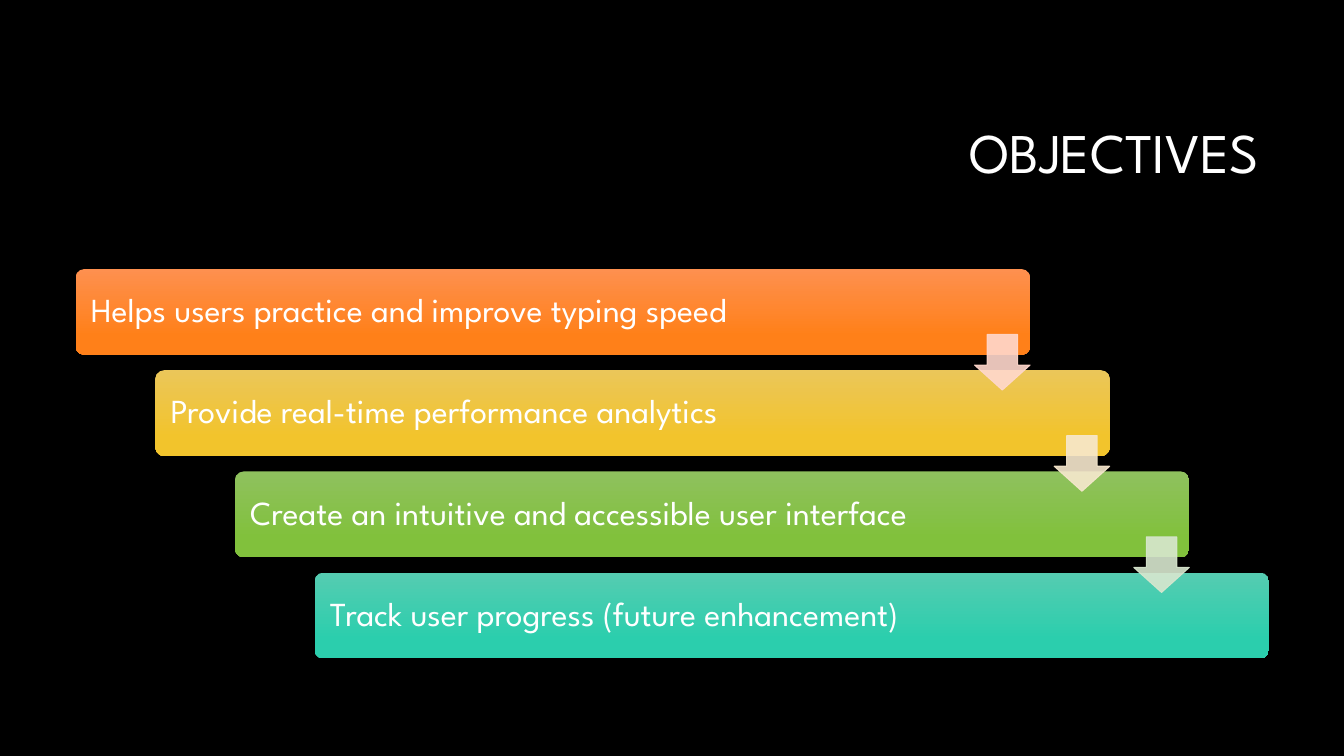
import lxml.etree
import pptx
import pptx.dml.color
import pptx.enum.shapes
import pptx.enum.text
import pptx.oxml.ns
import pptx.util

Cm = pptx.util.Cm
ALIGN = pptx.enum.text.PP_ALIGN
SHAPES = pptx.enum.shapes.MSO_SHAPE

FONT = "League Spartan"
COLORS = {
    "background": "000000",
    "text": "FFFFFF",
    "bars": [("FE904F", "FF8019"), ("EBC659", "F2C42C"),
             ("8FC15E", "81C13C"), ("55CCB1", "2BCEAD")],
    "arrows": ["FFD8CD", "F7E8CE", "D8E7CF"],
}
OBJECTIVES = [
    "Helps users practice and improve typing speed",
    "Provide real-time performance analytics",
    "Create an intuitive and accessible user interface",
    "Track user progress (future enhancement)",
]


def rgb(value):
    """Return a colour object for a hex string."""
    return pptx.dml.color.RGBColor.from_string(value)


def write_text(shape, text, size=24, align=ALIGN.LEFT, inset=0.25):
    """Put one formatted, vertically centred paragraph into a shape."""
    frame = shape.text_frame
    frame.word_wrap = True
    frame.auto_size = pptx.enum.text.MSO_AUTO_SIZE.NONE
    frame.vertical_anchor = pptx.enum.text.MSO_ANCHOR.MIDDLE
    frame.margin_left = frame.margin_right = Cm(inset)
    paragraph = frame.paragraphs[0]
    paragraph.alignment = align
    paragraph.line_spacing = 0.9
    run = paragraph.add_run()
    run.text = text
    run.font.name = FONT
    run.font.size = pptx.util.Pt(size)
    run.font.color.rgb = rgb(COLORS["text"])


def add_title(slide, text, left, top, width, height):
    """Place the right-aligned slide title in its box."""
    title = slide.shapes.title
    title.left, title.top = Cm(left), Cm(top)
    title.width, title.height = Cm(width), Cm(height)
    write_text(title, text, size=40, align=ALIGN.RIGHT)


def add_bar(slide, text, gradient, left, top, width, height):
    """Draw one rounded objective bar with a vertical gradient."""
    bar = slide.shapes.add_shape(
        SHAPES.ROUNDED_RECTANGLE, Cm(left), Cm(top), Cm(width), Cm(height))
    bar.adjustments[0] = 0.1
    bar.shadow.inherit = False
    bar.line.fill.background()
    bar.fill.gradient()
    bar.fill.gradient_angle = 270
    for stop, position, color in zip(bar.fill.gradient_stops, (0, 0.78), gradient):
        stop.position = position
        stop.color.rgb = rgb(color)
    write_text(bar, text, inset=0.32)


def add_arrow(slide, color, left, top, size):
    """Draw one slightly transparent arrow that points down."""
    arrow = slide.shapes.add_shape(
        SHAPES.DOWN_ARROW, Cm(left), Cm(top), Cm(size), Cm(size))
    arrow.adjustments[0] = 0.55
    arrow.adjustments[1] = 0.45
    arrow.shadow.inherit = False
    arrow.fill.solid()
    arrow.fill.fore_color.rgb = rgb(color)
    arrow.line.color.rgb = rgb(color)
    arrow.line.width = pptx.util.Pt(0.75)
    qualified = pptx.oxml.ns.qn
    for color_element in arrow.element.spPr.iter(qualified("a:srgbClr")):
        lxml.etree.SubElement(color_element, qualified("a:alpha"), val="90000")


def add_staircase(slide, left, top, width, height):
    """Spread the objective bars diagonally over the box and link them."""
    bar_width, bar_height, arrow_size, arrow_drop = 24.05, 2.16, 1.4, 1.65
    steps = len(OBJECTIVES) - 1
    step_x = (width - bar_width) / steps
    step_y = (height - bar_height) / steps
    for index, (text, gradient) in enumerate(zip(OBJECTIVES, COLORS["bars"])):
        add_bar(slide, text, gradient, left + index * step_x,
                top + index * step_y, bar_width, bar_height)
    for index, color in enumerate(COLORS["arrows"]):
        add_arrow(slide, color, left + index * step_x + bar_width - arrow_size,
                  top + index * step_y + arrow_drop, arrow_size)


def main():
    """Build and save the presentation."""
    presentation = pptx.Presentation()
    presentation.slide_width = Cm(33.87)
    presentation.slide_height = Cm(19.05)
    slide = presentation.slides.add_slide(presentation.slide_layouts[5])
    slide.background.fill.solid()
    slide.background.fill.fore_color.rgb = rgb(COLORS["background"])
    add_title(slide, "OBJECTIVES", 8.05, 2.13, 23.93, 3.58)
    add_staircase(slide, 1.91, 6.78, 30.07, 9.81)
    presentation.save("out.pptx")


if __name__ == "__main__":
    main()
